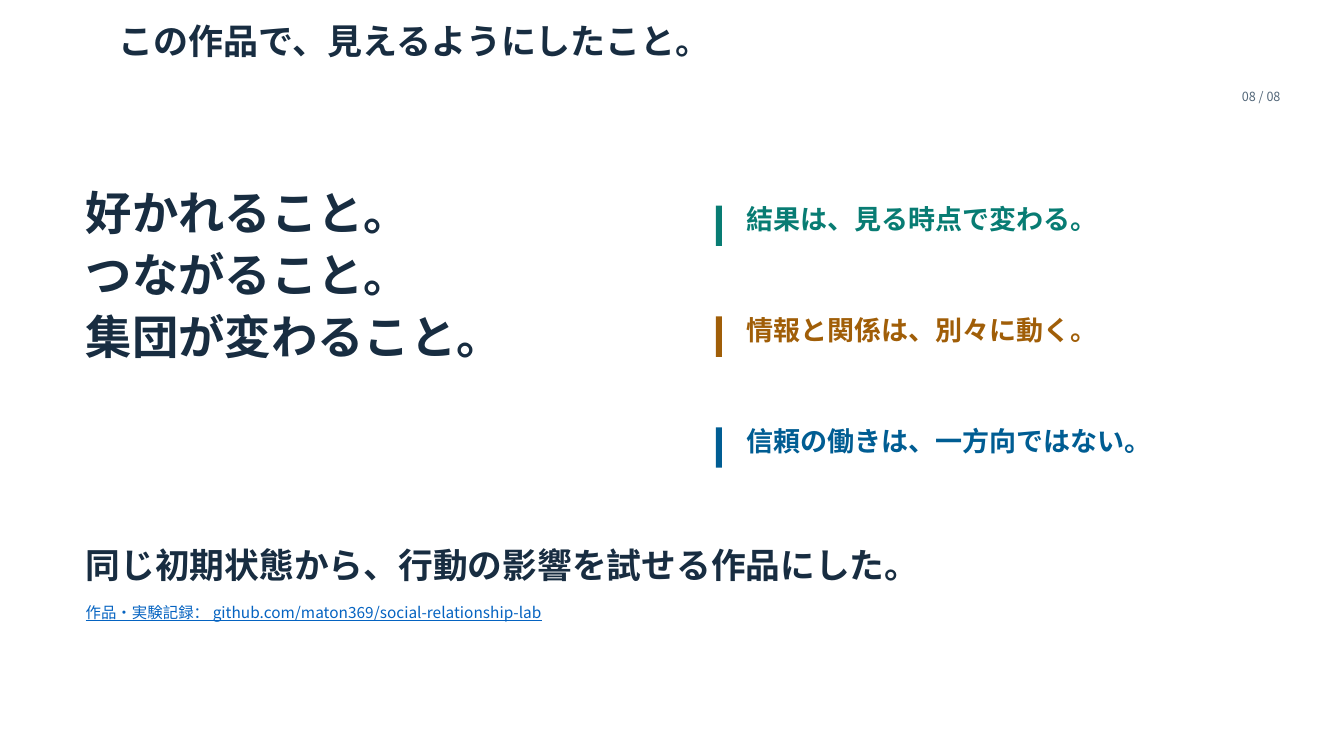
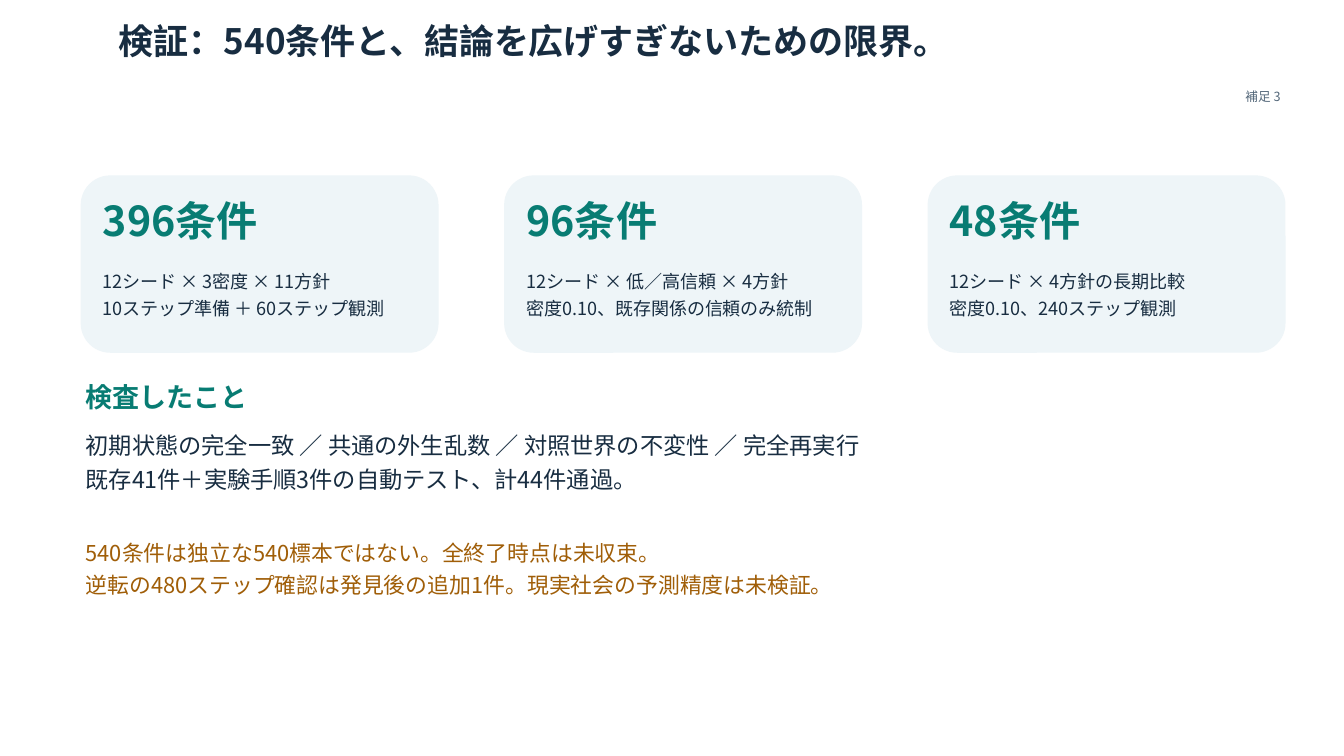
from pptx import Presentation
from pptx.dml.color import RGBColor
from pptx.enum.shapes import MSO_SHAPE as Preset
from pptx.enum.text import MSO_AUTO_SIZE as AutoSize, PP_ALIGN as Align
from pptx.util import Inches, Pt

WIDTH, HEIGHT = 13.33, 7.5
LEFT = 0.85
FONT = "Noto Sans CJK JP"
INK, MUTED, LINK, PANEL = "182D41", "536779", "0563C1", "EEF5F8"
TEAL, AMBER, BLUE = "087C73", "A05E08", "005D93"


def rgb(value):
    """Turn a hex string into a colour."""
    return RGBColor.from_string(value)


def add_text(slide, box, lines, size, color=INK, after=4.4, align=Align.LEFT, **style):
    """Place one paragraph per line in a box without margins."""
    frame = slide.shapes.add_textbox(*map(Inches, box)).text_frame
    layout = dict(margin_left=0, margin_top=0, margin_right=0, margin_bottom=0,
                  word_wrap=True, auto_size=AutoSize.SHAPE_TO_FIT_TEXT)
    for name, value in layout.items():
        setattr(frame, name, value)
    for index, line in enumerate(lines):
        paragraph = frame.add_paragraph() if index else frame.paragraphs[0]
        paragraph.alignment, paragraph.space_after = align, Pt(after)
        run = paragraph.add_run()
        run.text = line
        for name, value in dict(name=FONT, size=Pt(size), **style).items():
            setattr(run.font, name, value)
        run.font.color.rgb = rgb(color)


def add_block(slide, preset, box, color):
    """Place a flat filled shape without outline."""
    block = slide.shapes.add_shape(preset, *map(Inches, box))
    block.shadow.inherit = False
    block.fill.solid()
    block.fill.fore_color.rgb = rgb(color)
    block.line.fill.background()


def add_page(deck, title, marker):
    """Add a blank slide with its title and page marker."""
    slide = deck.slides.add_slide(deck.slide_layouts[6])
    slide.background.fill.solid()
    slide.background.fill.fore_color.rgb = rgb("FFFFFF")
    add_text(slide, (1.18, 0.19, 11, 0.66), [title], 25, after=5, bold=True)
    add_text(slide, (12.2, 0.88, 0.5, 0.2), [marker], 9, MUTED, after=5, align=Align.RIGHT)
    return slide


def add_finding(slide, left, top, finding, color):
    """Place a finding beside its coloured bar."""
    add_block(slide, Preset.RECTANGLE, (left, top, 0.06, 0.4), color)
    add_text(slide, (left + 0.3, top - 0.03, 5.15, 0.62), [finding], 19.3, color, bold=True)


def add_card(slide, left, top, count, details):
    """Place a rounded card with a condition count and its details."""
    add_block(slide, Preset.ROUNDED_RECTANGLE, (left, top, 3.55, 1.76), PANEL)
    add_text(slide, (left + 0.22, top + 0.2, 3.1, 0.57), [count], 29.4, TEAL, bold=True)
    add_text(slide, (left + 0.22, top + 0.94, 3.15, 0.67), details, 12.9)


def build_closing(deck):
    """Build the closing slide with its three findings."""
    slide = add_page(deck, "この作品で、見えるようにしたこと。", "08 / 08")
    themes = ["好かれること。", "つながること。", "集団が変わること。"]
    add_text(slide, (LEFT, 1.83, 6.4, 2.33), themes, 33.1, bold=True)
    findings = [("結果は、見る時点で変わる。", TEAL),
                ("情報と関係は、別々に動く。", AMBER),
                ("信頼の働きは、一方向ではない。", BLUE)]
    for row, (finding, color) in enumerate(findings):
        add_finding(slide, 7.1, 2.04 + row * 1.1, finding, color)
    add_text(slide, (LEFT, 5.39, 11.7, 0.53),
             ["同じ初期状態から、行動の影響を試せる作品にした。"], 24.8, bold=True)
    add_text(slide, (LEFT, 5.98, 10, 0.32),
             ["作品・実験記録： github.com/maton369/social-relationship-lab"],
             11, LINK, underline=True)


def build_verification(deck):
    """Build the supplement on test conditions and their limits."""
    slide = add_page(deck, "検証：540条件と、結論を広げすぎないための限界。", "補足 3")
    cards = [("396条件", ["12シード × 3密度 × 11方針", "10ステップ準備 ＋ 60ステップ観測"]),
             ("96条件", ["12シード × 低／高信頼 × 4方針", "密度0.10、既存関係の信頼のみ統制"]),
             ("48条件", ["12シード × 4方針の長期比較", "密度0.10、240ステップ観測"])]
    for column, (count, details) in enumerate(cards):
        add_card(slide, 0.8 + column * 4.2, 1.74, count, details)
    add_text(slide, (LEFT, 3.77, 3, 0.35), ["検査したこと"], 19.3, TEAL, bold=True)
    checks = ["初期状態の完全一致 ／ 共通の外生乱数 ／ 対照世界の不変性 ／ 完全再実行",
              "既存41件＋実験手順3件の自動テスト、計44件通過。"]
    add_text(slide, (LEFT, 4.28, 11.6, 0.88), checks, 16.6)
    limits = ["540条件は独立な540標本ではない。全終了時点は未収束。",
              "逆転の480ステップ確認は発見後の追加1件。現実社会の予測精度は未検証。"]
    add_text(slide, (LEFT, 5.35, 11.6, 0.75), limits, 15.6, AMBER)


def main():
    """Build and save the deck."""
    deck = Presentation()
    deck.slide_width, deck.slide_height = Inches(WIDTH), Inches(HEIGHT)
    build_closing(deck)
    build_verification(deck)
    deck.save("out.pptx")


if __name__ == "__main__":
    main()
